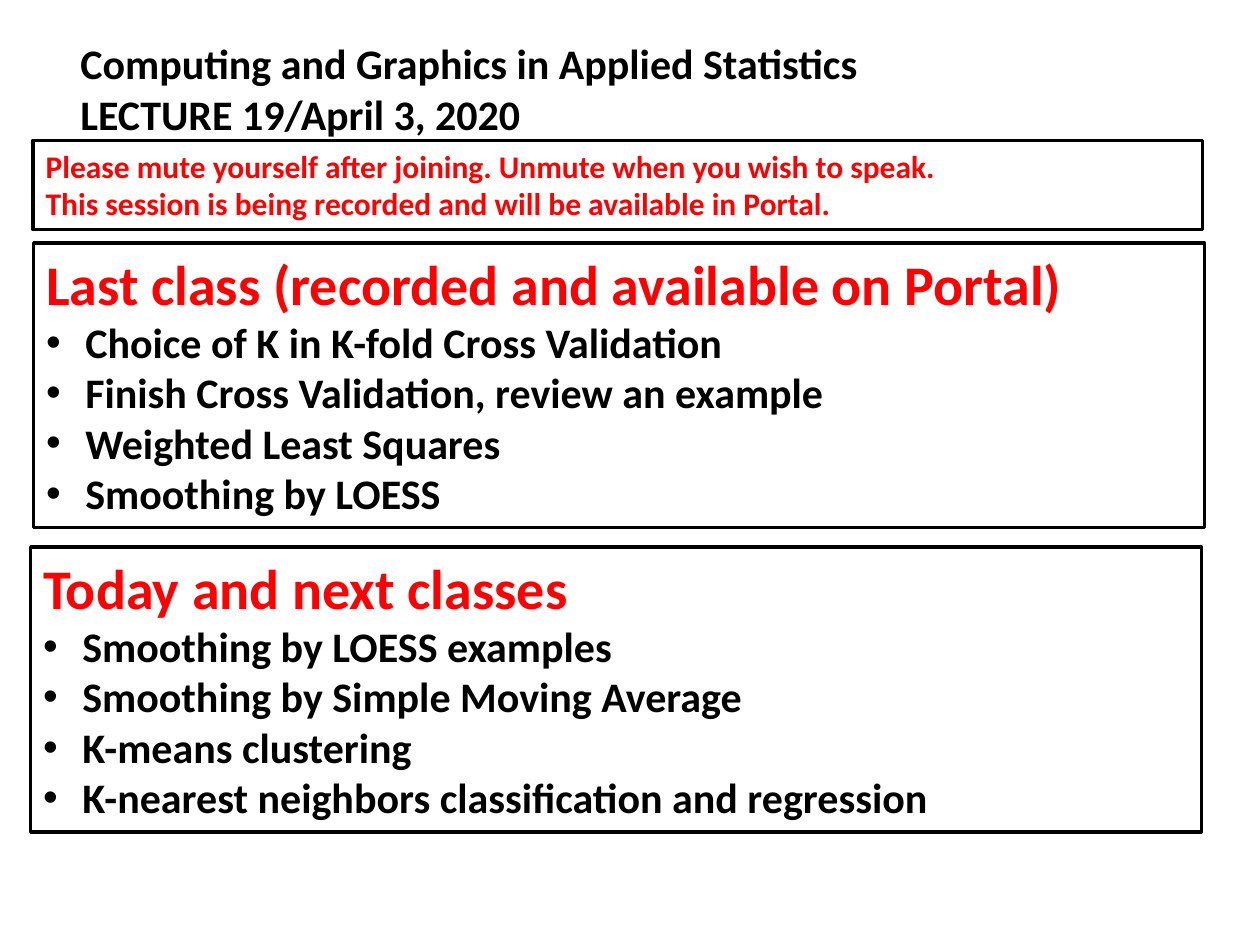
from pptx import Presentation
from pptx.dml.color import RGBColor
from pptx.enum.shapes import MSO_SHAPE
from pptx.enum.text import MSO_ANCHOR, PP_ALIGN
from pptx.oxml.ns import qn
from pptx.util import Cm, Pt
from lxml.etree import SubElement

COLORS = {"text": "000000", "accent": "FF0000", "fill": "FFFFFF", "border": "000000"}
FONT = "Calibri"
BULLET_INDENT = Cm(0.79)


def color(name):
    return RGBColor.from_string(COLORS[name])


def add_bullet(paragraph):
    properties = paragraph._p.get_or_add_pPr()
    properties.set("marL", str(BULLET_INDENT))
    properties.set("indent", str(-BULLET_INDENT))
    SubElement(properties, qn("a:buFont"), typeface="Arial")
    SubElement(properties, qn("a:buChar"), char="•")


def write_lines(text_frame, lines, size, color_name, bulleted=False):
    for line in lines:
        paragraph = text_frame.paragraphs[0]
        if paragraph.text:
            paragraph = text_frame.add_paragraph()
        paragraph.text = line
        paragraph.alignment = PP_ALIGN.LEFT
        if bulleted:
            add_bullet(paragraph)
        paragraph.font.name = FONT
        paragraph.font.size = Pt(size)
        paragraph.font.bold = True
        paragraph.font.color.rgb = color(color_name)


def add_panel(slide, left, top, width, height):
    panel = slide.shapes.add_shape(MSO_SHAPE.RECTANGLE, left, top, width, height)
    panel.shadow.inherit = False
    panel.fill.solid()
    panel.fill.fore_color.rgb = color("fill")
    panel.line.color.rgb = color("border")
    panel.line.width = Pt(2)
    panel.text_frame.word_wrap = True
    panel.text_frame.vertical_anchor = MSO_ANCHOR.TOP
    return panel.text_frame


def add_title(slide, left, top, width, height, lines):
    text_frame = slide.shapes.add_textbox(left, top, width, height).text_frame
    text_frame.word_wrap = True
    write_lines(text_frame, lines, 24, "text")


def add_topics(slide, left, top, width, height, heading, topics):
    text_frame = add_panel(slide, left, top, width, height)
    write_lines(text_frame, [heading], 32, "accent")
    write_lines(text_frame, topics, 24, "text", bulleted=True)


def add_notice(slide, left, top, width, height, lines):
    text_frame = add_panel(slide, left, top, width, height)
    write_lines(text_frame, lines, 18, "accent")


def main():
    presentation = Presentation()
    presentation.slide_width = Cm(25.4)
    presentation.slide_height = Cm(19.05)
    slide = presentation.slides.add_slide(presentation.slide_layouts[6])

    add_title(slide, Cm(1.37), Cm(0.64), Cm(20.32), Cm(3.33), [
        "Computing and Graphics in Applied Statistics",
        "LECTURE 19/April 3, 2020",
    ])
    add_topics(slide, Cm(0.68), Cm(4.9), Cm(23.6), Cm(5.74),
               "Last class (recorded and available on Portal)", [
                   "Choice of K in K-fold Cross Validation",
                   "Finish Cross Validation, review an example",
                   "Weighted Least Squares",
                   "Smoothing by LOESS",
               ])
    add_topics(slide, Cm(0.62), Cm(11.03), Cm(23.6), Cm(5.74),
               "Today and next classes", [
                   "Smoothing by LOESS examples",
                   "Smoothing by Simple Moving Average",
                   "K-means clustering",
                   "K-nearest neighbors classification and regression",
               ])
    add_notice(slide, Cm(0.67), Cm(2.83), Cm(23.57), Cm(1.8), [
        "Please mute yourself after joining. Unmute when you wish to speak.",
        "This session is being recorded and will be available in Portal.",
    ])
    presentation.save("out.pptx")


if __name__ == "__main__":
    main()
